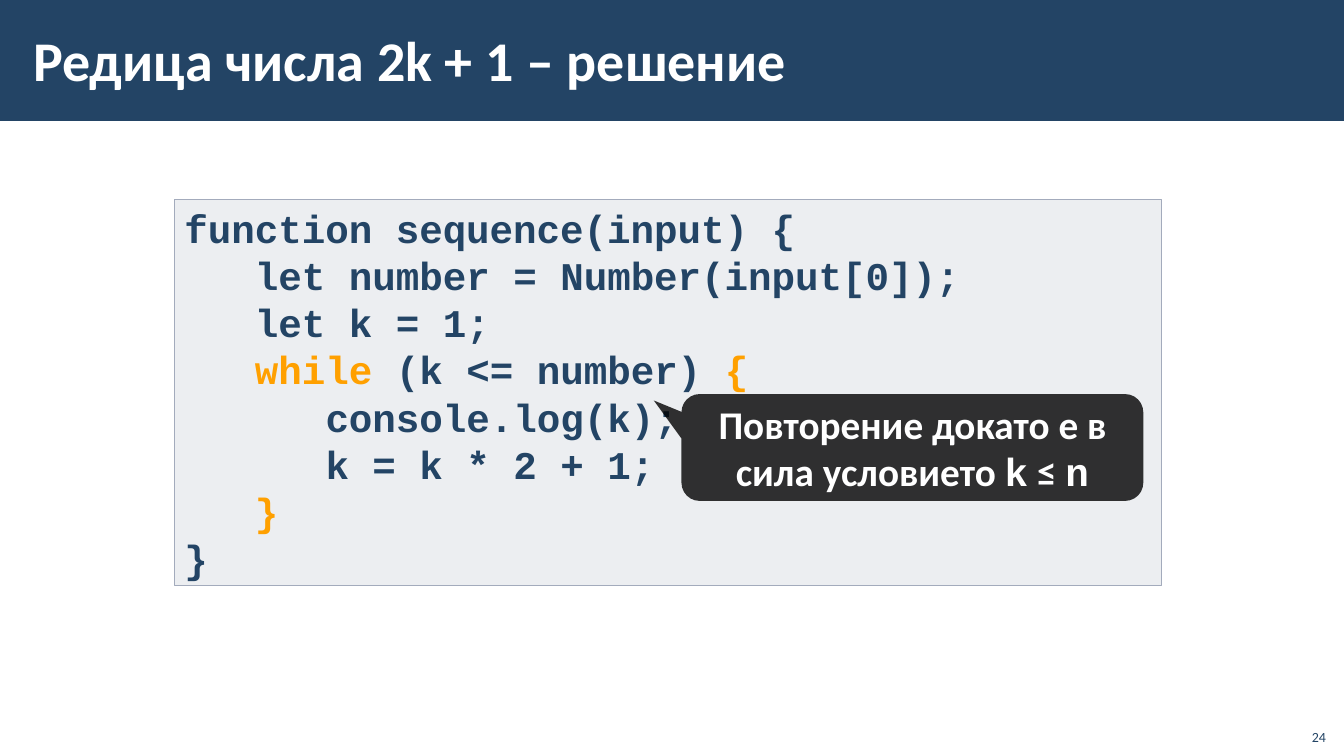
from lxml.etree import SubElement
from pptx import Presentation
from pptx.dml.color import RGBColor
from pptx.enum.shapes import MSO_SHAPE
from pptx.enum.text import MSO_ANCHOR, MSO_AUTO_SIZE, PP_ALIGN
from pptx.oxml.ns import qn
from pptx.util import Inches, Pt

WIDTH, HEIGHT = Inches(13.33), Inches(7.5)
NAVY = RGBColor(0x23, 0x44, 0x65)
GREY = RGBColor(0xA3, 0xAB, 0xBC)
ORANGE = RGBColor(0xFF, 0xA0, 0x00)
BLACK = RGBColor(0x00, 0x00, 0x00)
WHITE = RGBColor(0xFF, 0xFF, 0xFF)
SANS, MONO = "Calibri", "Courier New"
CODE_SIZE = 28
INDENT = Pt(3 * 0.6 * CODE_SIZE)

CODE = [
    (0, [("function sequence(input) {", NAVY)]),
    (1, [("let number = Number(input[0]);", NAVY)]),
    (1, [("let k = 1;", NAVY)]),
    (1, [("while ", ORANGE), ("(k <= number)", NAVY), (" {", ORANGE)]),
    (2, [("console.log(k);", NAVY)]),
    (2, [("k = k * 2 + 1;", NAVY)]),
    (1, [("}", ORANGE)]),
    (0, [("}", NAVY)]),
]


def area(left, top, width, height):
    return [round(share * side / 100) for share, side in
            zip((left, top, width, height), (WIDTH, HEIGHT) * 2)]


def add_span(para, text, size, color, font=SANS, bold=True):
    span = para.add_run()
    span.text = text
    span.font.size = Pt(size)
    span.font.name = font
    span.font.bold = bold
    span.font.color.rgb = color


def set_frame(box, anchor, side=0.1, edge=0.05):
    frame = box.text_frame
    frame.word_wrap = True
    frame.auto_size = MSO_AUTO_SIZE.NONE
    frame.vertical_anchor = anchor
    frame.margin_left = frame.margin_right = Inches(side)
    frame.margin_top = frame.margin_bottom = Inches(edge)
    return frame


def add_panel(page, kind, place, color, opacity=100, outline=None):
    panel = page.shapes.add_shape(kind, *area(*place))
    panel.shadow.inherit = False
    panel.fill.solid()
    panel.fill.fore_color.rgb = color
    if opacity < 100:
        tint = panel.element.spPr.find(qn("a:solidFill"))[0]
        SubElement(tint, qn("a:alpha")).set("val", str(opacity * 1000))
    if outline is None:
        panel.line.fill.background()
    else:
        panel.line.color.rgb = outline
        panel.line.width = Pt(1)
    return panel


def add_heading(page, text):
    bar = add_panel(page, MSO_SHAPE.RECTANGLE, (0, 0, 100, 16), NAVY)
    title = page.shapes.title
    bar.element.addnext(title.element)
    title.left, title.top, title.width, title.height = area(1.58, 1.47, 79.67, 12.8)
    para = set_frame(title, MSO_ANCHOR.MIDDLE, 0.12, 0.04).paragraphs[0]
    para.alignment = PP_ALIGN.LEFT
    add_span(para, text, 40, WHITE)


def add_code(page, lines):
    box = add_panel(page, MSO_SHAPE.RECTANGLE, (12.98, 26.4, 73.44, 51.07),
                    GREY, 20, GREY)
    frame = set_frame(box, MSO_ANCHOR.TOP)
    for number, (level, spans) in enumerate(lines):
        para = frame.add_paragraph() if number else frame.paragraphs[0]
        para.alignment = PP_ALIGN.LEFT
        para._p.get_or_add_pPr().set("marL", str(level * INDENT))
        for text, color in spans:
            add_span(para, text, CODE_SIZE, color, MONO)


def add_callout(page, spans):
    callout = add_panel(page, MSO_SHAPE.ROUNDED_RECTANGULAR_CALLOUT,
                        (50.71, 52.13, 34.36, 14.13), BLACK, 80)
    for index, value in enumerate((-0.56, -0.44, 0.17)):
        callout.adjustments[index] = value
    para = set_frame(callout, MSO_ANCHOR.MIDDLE).paragraphs[0]
    para.alignment = PP_ALIGN.CENTER
    for text, font in spans:
        add_span(para, text, 28, WHITE, font)


def add_page_number(page, text):
    box = page.shapes.add_textbox(*area(96.4, 94.93, 3, 4.27))
    para = set_frame(box, MSO_ANCHOR.BOTTOM).paragraphs[0]
    para.alignment = PP_ALIGN.RIGHT
    add_span(para, text, 10, NAVY, bold=False)


def main():
    deck = Presentation()
    deck.slide_width, deck.slide_height = WIDTH, HEIGHT
    page = deck.slides.add_slide(deck.slide_layouts[5])
    add_heading(page, "Редица числа 2k + 1 – решение")
    add_code(page, CODE)
    add_callout(page, [("Повторение докато е в сила условието ", SANS),
                       ("k", MONO), (" ≤ ", SANS), ("n", MONO)])
    add_page_number(page, "24")
    deck.save("out.pptx")


if __name__ == "__main__":
    main()
